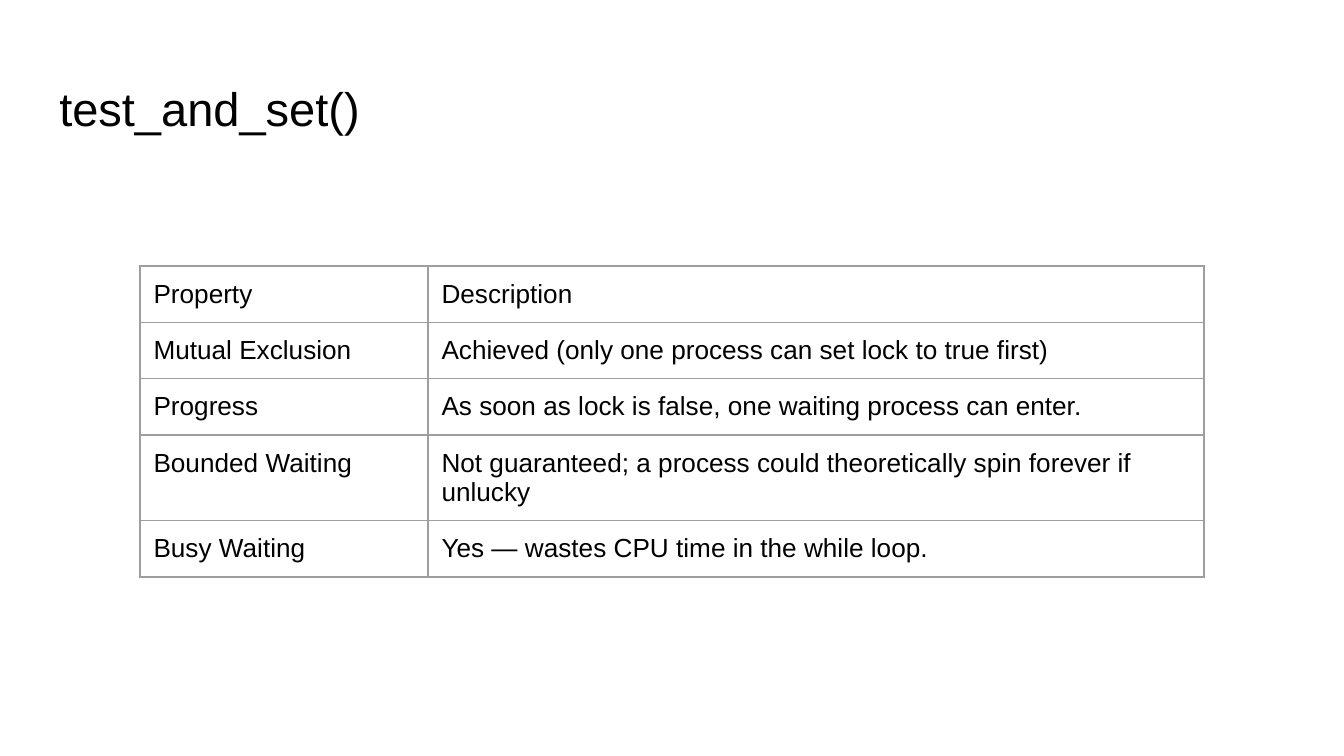
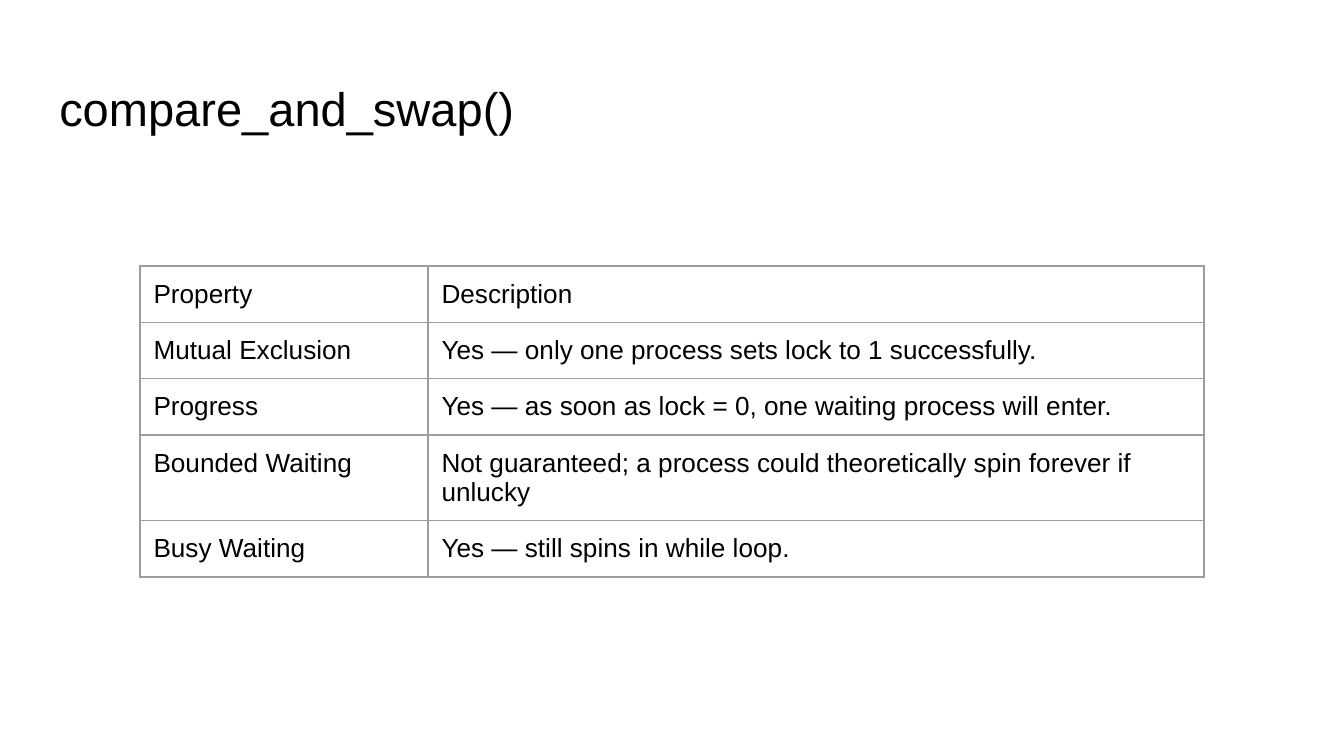
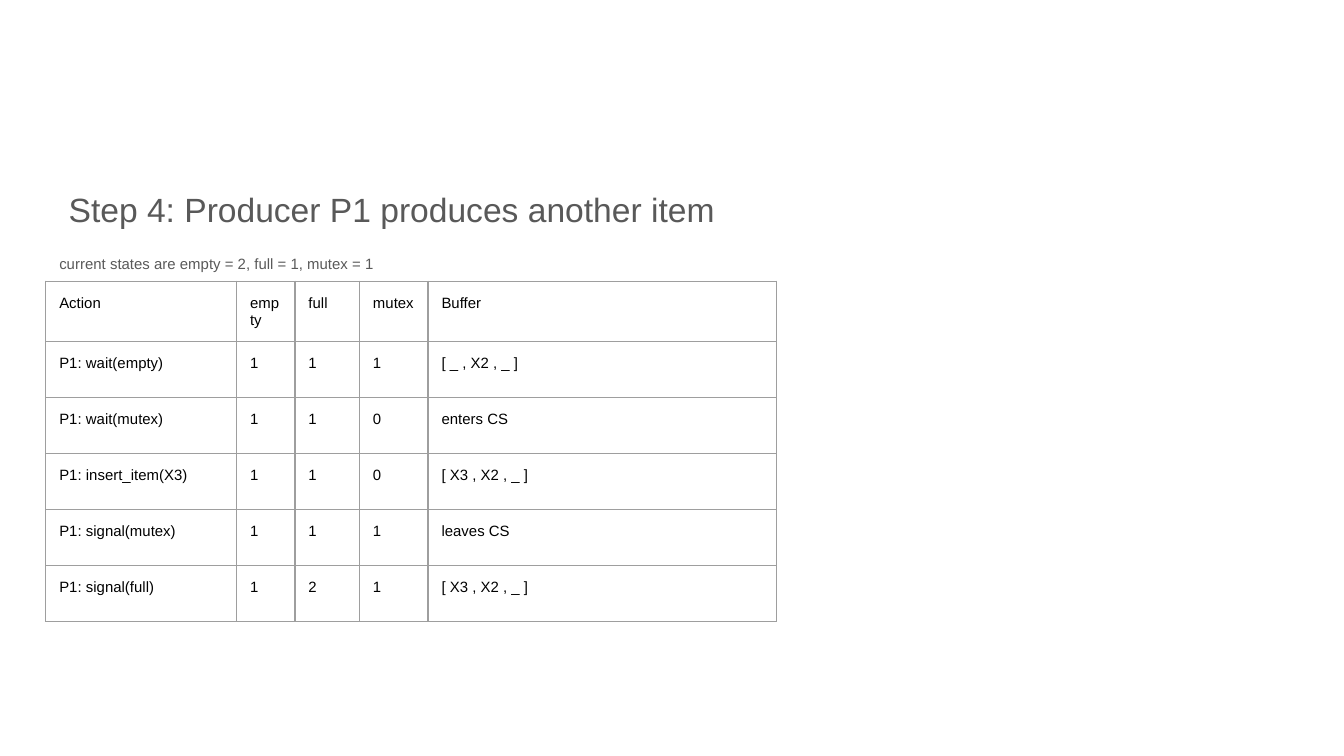
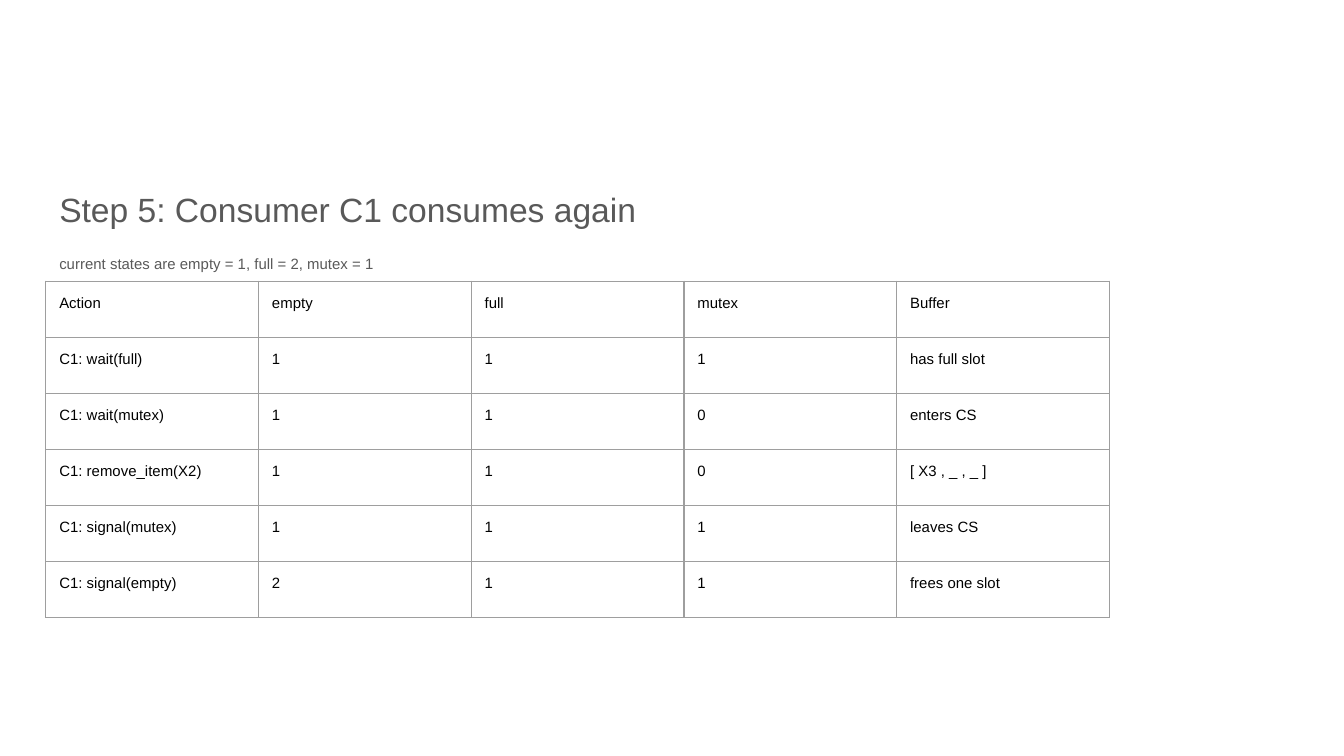
from dataclasses import dataclass

from lxml.etree import SubElement
from pptx import Presentation
from pptx.dml.color import RGBColor
from pptx.enum.text import MSO_ANCHOR, MSO_AUTO_SIZE, PP_ALIGN
from pptx.oxml.ns import qn
from pptx.util import Emu, Inches, Pt

# Shared style
FONT = "Arial"
BLACK = RGBColor(0x00, 0x00, 0x00)
GRAY = RGBColor(0x59, 0x59, 0x59)
BORDER = RGBColor(0x9E, 0x9E, 0x9E)
WHITE = RGBColor(0xFF, 0xFF, 0xFF)
INSET = Inches(0.1)
BORDER_WIDTH = Pt(0.75)

# Grid: the 16:9 slide is 100 columns wide and 100 rows high
SLIDE_W = Inches(10)
SLIDE_H = Emu(SLIDE_W * 9 // 16)
MARGIN, CONTENT_W = 3.41, 93.18
TABLE_ROW = 7.41

TITLE_ONLY, TITLE_AND_CONTENT = 5, 1


def cols(n: float) -> Emu:
    return Emu(round(SLIDE_W * n / 100))


def rows(n: float) -> Emu:
    return Emu(round(SLIDE_H * n / 100))


@dataclass(frozen=True)
class Grid:
    """A table: corner and column widths in grid units, then its cell text."""
    left: float
    top: float
    widths: tuple[float, ...]
    size: float
    cells: list[tuple[str, ...]]


@dataclass(frozen=True)
class PropertySlide:
    """How a lock instruction meets each property."""
    title: str
    exclusion: str
    progress: str
    busy: str


@dataclass(frozen=True)
class StepSlide:
    """One step of the bounded buffer, with its semaphore values."""
    heading: str
    indent: float
    state: str
    widths: tuple[float, ...]
    steps: list[tuple[str, ...]]


def set_font(p, size: float, color: RGBColor) -> None:
    p.font.name, p.font.size, p.font.color.rgb = FONT, Pt(size), color


def set_insets(obj) -> None:
    obj.margin_left = obj.margin_right = INSET
    obj.margin_top = obj.margin_bottom = INSET


def place(sp, top: float, height: float, anchor: MSO_ANCHOR):
    """Put a placeholder across the content width and return its text frame."""
    sp.left, sp.top = cols(MARGIN), rows(top)
    sp.width, sp.height = cols(CONTENT_W), rows(height)
    tf = sp.text_frame
    tf.word_wrap, tf.auto_size = True, MSO_AUTO_SIZE.NONE
    tf.vertical_anchor = anchor
    set_insets(tf)
    return tf


def set_borders(cell) -> None:
    """Line all four sides; the lines must come before the fill."""
    tc_pr = cell._tc.get_or_add_tcPr()
    for side in ("a:lnL", "a:lnR", "a:lnT", "a:lnB"):
        ln = SubElement(tc_pr, qn(side), w=str(BORDER_WIDTH))
        fill = SubElement(ln, qn("a:solidFill"))
        SubElement(fill, qn("a:srgbClr"), val=str(BORDER))


def add_grid(s, grid: Grid) -> None:
    n_rows, n_cols = len(grid.cells), len(grid.widths)
    table = s.shapes.add_table(
        n_rows, n_cols, cols(grid.left), rows(grid.top),
        cols(sum(grid.widths)), rows(TABLE_ROW * n_rows)).table
    table.first_row = table.horz_banding = False
    for column, width in zip(table.columns, grid.widths):
        column.width = cols(width)
    for row, texts in zip(table.rows, grid.cells):
        row.height = rows(TABLE_ROW)
        for cell, text in zip(row.cells, texts):
            cell.text = text
            set_insets(cell)
            set_borders(cell)
            cell.fill.solid()
            cell.fill.fore_color.rgb = WHITE
            set_font(cell.text_frame.paragraphs[0], grid.size, BLACK)


def add_property_slide(prs, data: PropertySlide) -> None:
    s = prs.slides.add_slide(prs.slide_layouts[TITLE_ONLY])
    tf = place(s.shapes.title, 8.65, 11.2, MSO_ANCHOR.MIDDLE)
    tf.text = data.title
    p = tf.paragraphs[0]
    p.alignment = PP_ALIGN.LEFT
    set_font(p, 25.2, BLACK)
    add_grid(s, Grid(10.42, 35.2, (21.43, 57.74), 14, [
        ("Property", "Description"),
        ("Mutual Exclusion", data.exclusion),
        ("Progress", data.progress),
        ("Bounded Waiting", "Not guaranteed; a process could theoretically "
                            "spin forever if unlucky"),
        ("Busy Waiting", data.busy),
    ]))


def add_step_slide(prs, data: StepSlide) -> None:
    s = prs.slides.add_slide(prs.slide_layouts[TITLE_AND_CONTENT])
    title = s.shapes.title._element
    title.getparent().remove(title)

    # Heading and current state share the body placeholder
    tf = place(s.placeholders[1], 22.41, 66.5, MSO_ANCHOR.TOP)
    tf.text = f"{data.heading}\n{data.state}"
    heading, state = tf.paragraphs
    for p, size, indent, gap in ((heading, 18, data.indent, 0),
                                 (state, 8, 0, 12)):
        p_pr = p._p.get_or_add_pPr()
        p_pr.set("marL", str(cols(indent)))
        p_pr.set("indent", "0")
        SubElement(p_pr, qn("a:buNone"))
        p.line_spacing = 1.15
        p.space_before = p.space_after = Pt(gap)
        set_font(p, size, GRAY)

    header = ("Action", "empty", "full", "mutex", "Buffer")
    add_grid(s, Grid(MARGIN, 37.2, data.widths, 8, [header, *data.steps]))


# Slide content
PROPERTY_SLIDES = [
    PropertySlide(
        "test_and_set()",
        "Achieved (only one process can set lock to true first)",
        "As soon as lock is false, one waiting process can enter.",
        "Yes — wastes CPU time in the while loop."),
    PropertySlide(
        "compare_and_swap()",
        "Yes — only one process sets lock to 1 successfully.",
        "Yes — as soon as lock = 0, one waiting process will enter.",
        "Yes — still spins in while loop."),
]

STEP_SLIDES = [
    StepSlide(
        "Step 4: Producer P1 produces another item", 0.7,
        "current states are empty = 2, full = 1, mutex = 1",
        (14.2, 4.35, 4.8, 5.1, 25.9), [
            ("P1: wait(empty)", "1", "1", "1", "[ _ , X2 , _ ]"),
            ("P1: wait(mutex)", "1", "1", "0", "enters CS"),
            ("P1: insert_item(X3)", "1", "1", "0", "[ X3 , X2 , _ ]"),
            ("P1: signal(mutex)", "1", "1", "1", "leaves CS"),
            ("P1: signal(full)", "1", "2", "1", "[ X3 , X2 , _ ]"),
        ]),
    StepSlide(
        "Step 5: Consumer C1 consumes again", 0,
        "current states are empty = 1, full = 2, mutex = 1",
        (15.83,) * 5, [
            ("C1: wait(full)", "1", "1", "1", "has full slot"),
            ("C1: wait(mutex)", "1", "1", "0", "enters CS"),
            ("C1: remove_item(X2)", "1", "1", "0", "[ X3 , _ , _ ]"),
            ("C1: signal(mutex)", "1", "1", "1", "leaves CS"),
            ("C1: signal(empty)", "2", "1", "1", "frees one slot"),
        ]),
]


def main() -> None:
    prs = Presentation()
    prs.slide_width, prs.slide_height = SLIDE_W, SLIDE_H
    for data in PROPERTY_SLIDES:
        add_property_slide(prs, data)
    for data in STEP_SLIDES:
        add_step_slide(prs, data)
    prs.save("out.pptx")


if __name__ == "__main__":
    main()
